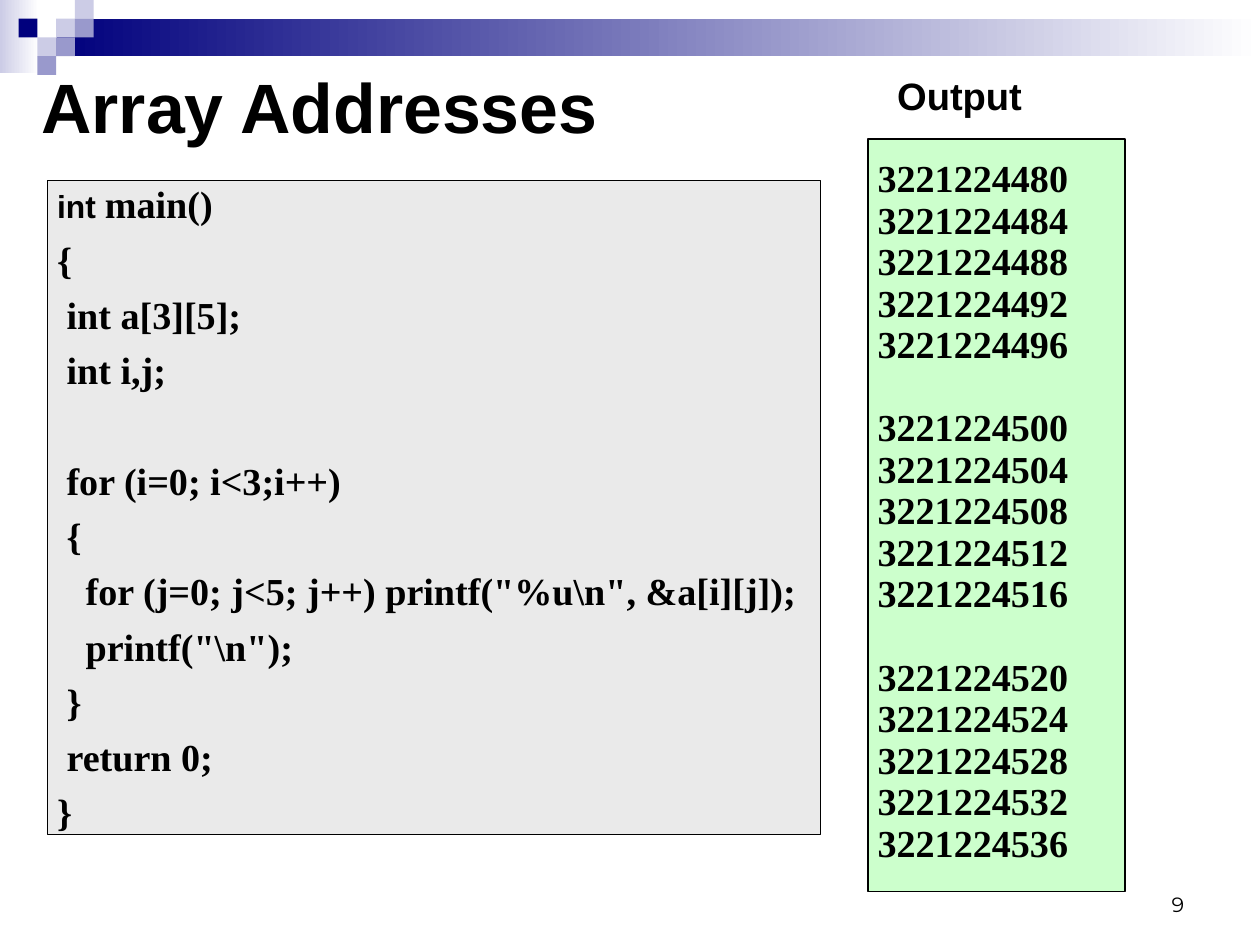
from pptx import Presentation
from pptx.dml.color import RGBColor as Color
from pptx.enum.shapes import MSO_SHAPE as Shape
from pptx.enum.text import MSO_ANCHOR as Anchor, PP_ALIGN as Align
from pptx.util import Pt

COLORS = {
    "black": "000000",
    "white": "FFFFFF",
    "navy": "00007D",
    "violet": "9999CC",
    "lilac": "CCCCE6",
    "code": "EAEAEA",
    "output": "CCFFCC",
}
SLIDE_WIDTH, SLIDE_HEIGHT = 793.75, 595.25
SERIF = "Times New Roman"
LINE_GAP = 6

# (indent in points, extra space before, text)
CODE = [
    (6, 0, "{"),
    (12, 0, "int a[3][5];"),
    (12, 0, "int i,j;"),
    (12, 34.9, "for (i=0; i<3;i++)"),
    (12, 0, "{"),
    (24, 0, 'for (j=0; j<5; j++) printf("%u\\n", &a[i][j]);'),
    (24, 0, 'printf("\\n");'),
    (12, 0, "}"),
    (12, 0, "return 0;"),
    (6, 0, "}"),
]
FIRST_ADDRESS, INT_SIZE, ROWS, COLUMNS = 3221224480, 4, 3, 5


def color(name):
    return Color.from_string(COLORS[name])


def add_span(para, text, size=24, font=SERIF, bold=True):
    span = para.add_run()
    span.text = text
    span.font.size = Pt(size)
    span.font.name = font
    span.font.bold = bold
    span.font.color.rgb = color("black")


def add_rect(page, left, top, width, height, fill, fade=False, outline=False):
    """Draw a rectangle, filled plainly or fading to white at its right."""
    rect = page.shapes.add_shape(
        Shape.RECTANGLE, Pt(left), Pt(top), Pt(width), Pt(height))
    rect.shadow.inherit = False
    if fade:
        rect.fill.gradient()
        rect.fill.gradient_angle = 0
        for stop, name, position in zip(
                rect.fill.gradient_stops, (fill, "white"), (0, 1)):
            stop.color.rgb = color(name)
            stop.position = position
    else:
        rect.fill.solid()
        rect.fill.fore_color.rgb = color(fill)
    if outline:
        rect.line.color.rgb = color("black")
        rect.line.width = Pt(1)
    else:
        rect.line.fill.background()
    return rect


def set_frame(box, anchor, inset=(0, 0)):
    frame = box.text_frame
    frame.word_wrap = True
    frame.vertical_anchor = anchor
    frame.margin_left = frame.margin_right = Pt(inset[0])
    frame.margin_top = frame.margin_bottom = Pt(inset[1])
    return frame


def add_label(page, left, top, width, height, text, anchor=Anchor.TOP,
              inset=(0, 0), align=Align.LEFT, **style):
    box = page.shapes.add_textbox(Pt(left), Pt(top), Pt(width), Pt(height))
    para = set_frame(box, anchor, inset).paragraphs[0]
    para.alignment = align
    add_span(para, text, **style)


def format_line(para, indent, extra=0, spacing=1.0):
    para.alignment = Align.LEFT
    para.space_before = Pt(LINE_GAP + extra)
    para.line_spacing = spacing
    # python-pptx has no public paragraph indent
    para._p.get_or_add_pPr().set("marL", str(Pt(indent)))
    para._p.get_or_add_pPr().set("indent", "0")


def add_header(page, left, top, width):
    """Draw the fading bar and the checker squares at its left end."""
    cell = 11.8
    add_rect(page, left, top, 24.5, 46, "lilac", fade=True)
    add_rect(page, left + 36, top + cell, width - 36, 23.8, "navy", fade=True)
    squares = [
        (3, 1, "lilac"), (4, 0, "lilac"), (4, 1, "violet"), (2, 2, "lilac"),
        (1, 1, "navy"), (3, 2, "violet"), (2, 3, "violet"),
    ]
    for column, row, fill in squares:
        add_rect(page, left + column * cell, top + row * cell,
                 cell, cell, fill)


def add_code(page, left, top, width, height):
    panel = add_rect(page, left, top, width, height, "code", outline=True)
    frame = set_frame(panel, Anchor.MIDDLE)
    opening = frame.paragraphs[0]
    format_line(opening, 6)
    add_span(opening, "int ", size=20, font="Arial")
    add_span(opening, "main()")
    for indent, extra, text in CODE:
        para = frame.add_paragraph()
        format_line(para, indent, extra)
        add_span(para, text)


def add_output(page, left, top, width, height):
    """Draw the heading and the addresses, grouped by array row."""
    add_label(page, left + 18.4, top - 42.2, 114, 29, "Output", font="Arial")
    panel = add_rect(page, left, top, width, height, "output", outline=True)
    frame = set_frame(panel, Anchor.MIDDLE)
    for index in range(ROWS * COLUMNS):
        para = frame.add_paragraph() if index else frame.paragraphs[0]
        starts_group = index and index % COLUMNS == 0
        format_line(para, 6, 26.2 if starts_group else 0, 0.7)
        add_span(para, str(FIRST_ADDRESS + index * INT_SIZE))


def main():
    deck = Presentation()
    deck.slide_width, deck.slide_height = Pt(SLIDE_WIDTH), Pt(SLIDE_HEIGHT)
    page = deck.slides.add_slide(deck.slide_layouts[6])
    add_header(page, 0, 0, SLIDE_WIDTH)
    add_label(page, 569, 542, 185, 39.6, "9", Anchor.BOTTOM, (8, 4),
              Align.RIGHT, size=13, font="Montserrat", bold=False)
    add_label(page, 18, 36, 749.5, 60.5, "Array Addresses", Anchor.MIDDLE,
              (8, 4), size=44, font="Arial")
    add_code(page, 30, 113.8, 487, 412)
    add_output(page, 546.8, 87.6, 162, 474)
    deck.save("out.pptx")


if __name__ == "__main__":
    main()
